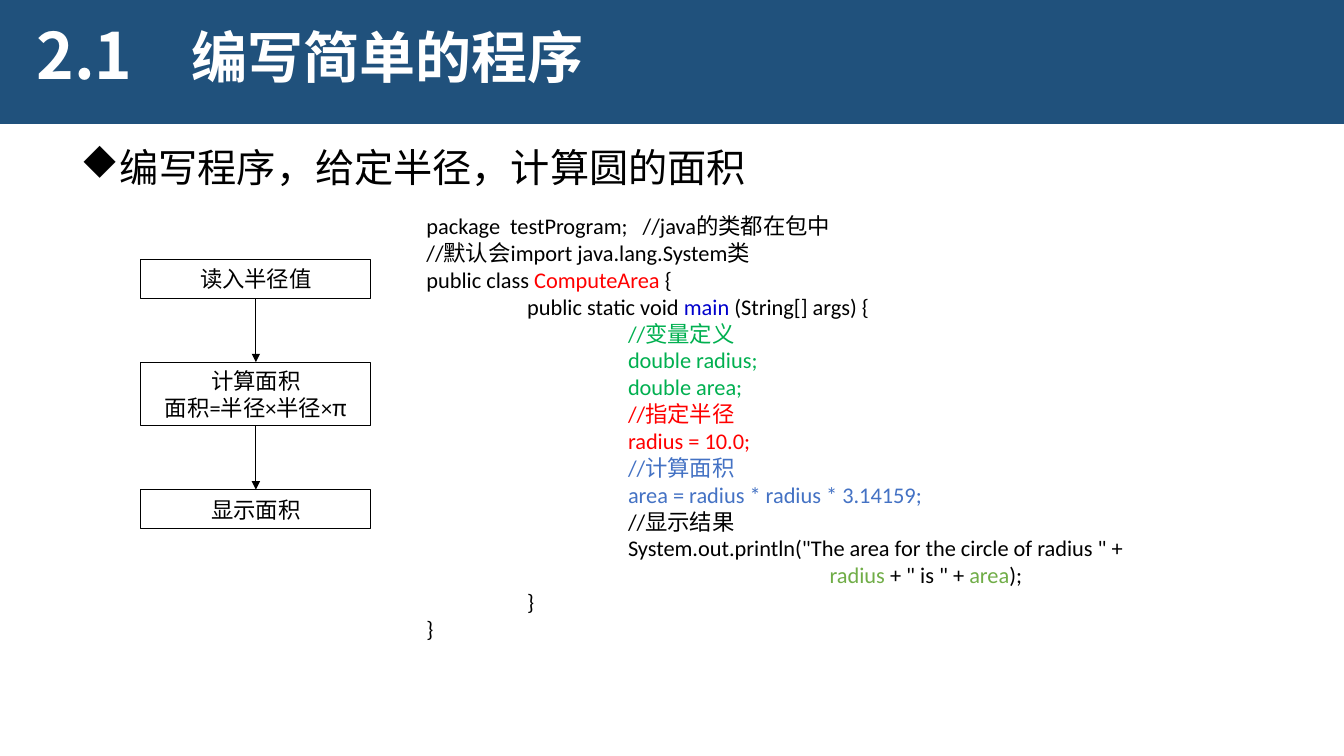
import dataclasses

import lxml.etree
import pptx
import pptx.dml.color
import pptx.enum.shapes
import pptx.enum.text
import pptx.oxml.ns
import pptx.util

Pt = pptx.util.Pt
qn = pptx.oxml.ns.qn
SHAPE = pptx.enum.shapes.MSO_SHAPE.RECTANGLE
ANCHOR = pptx.enum.text.MSO_ANCHOR
ALIGN = pptx.enum.text.PP_ALIGN
AUTOSIZE = pptx.enum.text.MSO_AUTO_SIZE


@dataclasses.dataclass(frozen=True)
class Theme:
    banner: str = "20517C"
    white: str = "FFFFFF"
    black: str = "000000"
    red: str = "FF0000"
    method: str = "0000CC"
    declaration: str = "00B050"
    calculation: str = "4472C4"
    output: str = "70AD47"
    cjk: str = "Noto Sans CJK SC"
    latin: str = "Calibri"
    bullet: str = "Wingdings"
    number_size: float = 45.6
    title_size: float = 40
    task_size: float = 28
    text_size: float = 16
    line_width: float = 0.75
    heading_spacing: float = 0.9
    tab_width: float = 72


class Deck:
    def __init__(self, theme):
        self.theme = theme
        self.presentation = pptx.Presentation()
        self.presentation.slide_width = Pt(960)
        self.presentation.slide_height = Pt(540)
        self.slide = self.presentation.slides.add_slide(self.presentation.slide_layouts[1])
        self.shapes = self.slide.shapes

    def color(self, value):
        return pptx.dml.color.RGBColor.from_string(value)

    def format(self, paragraph, size, color, latin, bold=False):
        font = paragraph.font
        font.size, font.bold, font.name = Pt(size), bold, latin
        font.color.rgb = self.color(color)
        east_asian = lxml.etree.SubElement(font._element, qn("a:ea"))
        east_asian.set("typeface", self.theme.cjk)

    def place(self, shape, left, top, width, height):
        shape.left, shape.top = Pt(left), Pt(top)
        shape.width, shape.height = Pt(width), Pt(height)

    def banner(self, left, top, width, height):
        band = self.shapes.add_shape(SHAPE, Pt(left), Pt(top), Pt(width), Pt(height))
        band.shadow.inherit = False
        band.fill.solid()
        band.fill.fore_color.rgb = self.color(self.theme.banner)
        band.line.fill.background()
        self.shapes._spTree.insert(2, band._element)

    def heading(self, holder, text, area, size, color, bold=True, bullet=None):
        self.place(holder, *area)
        frame = holder.text_frame
        frame.word_wrap = True
        frame.auto_size = AUTOSIZE.NONE
        frame.vertical_anchor = ANCHOR.TOP
        frame.text = text
        paragraph = frame.paragraphs[0]
        paragraph.alignment = ALIGN.LEFT
        paragraph.line_spacing = self.theme.heading_spacing
        paragraph.space_before = Pt(0)
        if bullet:
            properties = paragraph._p.get_or_add_pPr()
            properties.set("marL", str(Pt(18)))
            properties.set("indent", str(Pt(-18)))
            typeface = lxml.etree.SubElement(properties, qn("a:buFont"))
            typeface.set("typeface", self.theme.bullet)
            typeface.set("charset", "2")
            lxml.etree.SubElement(properties, qn("a:buChar")).set("char", bullet)
        self.format(paragraph, size, color, self.theme.cjk, bold)

    def text_box(self):
        return self.shapes.add_textbox(0, 0, 0, 0)

    def step(self, lines, left, top, width, height):
        box = self.shapes.add_shape(SHAPE, Pt(left), Pt(top), Pt(width), Pt(height))
        box.shadow.inherit = False
        box.fill.background()
        box.line.color.rgb = self.color(self.theme.black)
        box.line.width = Pt(self.theme.line_width)
        frame = box.text_frame
        frame.word_wrap = False
        frame.vertical_anchor = ANCHOR.MIDDLE
        frame.text = "\n".join(lines)
        for paragraph in frame.paragraphs:
            paragraph.alignment = ALIGN.CENTER
            self.format(paragraph, self.theme.text_size, self.theme.black, self.theme.latin)
        return box

    def add_symbol(self, box, symbol):
        run = box.text_frame.paragraphs[-1].add_run()
        run.text = symbol
        run.font.name = self.theme.cjk

    def arrow(self, source, target):
        link = self.shapes.add_connector(pptx.enum.shapes.MSO_CONNECTOR.STRAIGHT, 0, 0, 0, 0)
        link.begin_connect(source, 2)
        link.end_connect(target, 0)
        link.line.color.rgb = self.color(self.theme.black)
        link.line.width = Pt(self.theme.line_width)
        lxml.etree.SubElement(link.line._get_or_add_ln(), qn("a:tailEnd")).set("type", "triangle")
        lxml.etree.SubElement(link._element.spPr, qn("a:effectLst"))

    def code(self, lines, left, top, width, height):
        listing = self.text_box()
        self.place(listing, left, top, width, height)
        frame = listing.text_frame
        frame.word_wrap = True
        frame.auto_size = AUTOSIZE.SHAPE_TO_FIT_TEXT
        for index, (depth, *parts) in enumerate(lines):
            paragraph = frame.add_paragraph() if index else frame.paragraphs[0]
            paragraph._p.get_or_add_pPr().set("defTabSz", str(Pt(self.theme.tab_width)))
            shared = parts[0][1] if len(parts) == 1 else self.theme.black
            self.format(paragraph, self.theme.text_size, shared, self.theme.latin)
            for position, (text, color) in enumerate(parts):
                run = paragraph.add_run()
                run.text = text if position else "\t" * depth + text
                if color != shared:
                    run.font.color.rgb = self.color(color)


def main():
    theme = Theme()
    deck = Deck(theme)
    black, red, green = theme.black, theme.red, theme.declaration
    blue, output = theme.calculation, theme.output

    deck.banner(-2, 0, 962, 88.5)
    deck.heading(deck.text_box(), "2.1", (19, 13.5, 98.5, 65.5), theme.number_size, theme.white)
    deck.heading(deck.shapes.title, "编写简单的程序", (129.6, 18, 582.5, 39),
                 theme.title_size, theme.white)
    deck.heading(deck.slide.placeholders[1], "编写程序，给定半径，计算圆的面积",
                 (50.2, 102.6, 630, 39.6), theme.task_size, black, bold=False, bullet="u")

    steps = [["读入半径值"], ["计算面积", "面积=半径×半径×"], ["显示面积"]]
    top, gap, boxes = 185.2, 45.5, []
    for lines in steps:
        height = 28 if len(lines) == 1 else 45.5
        boxes.append(deck.step(lines, 100.6, top, 164.4, height))
        top += height + gap
    deck.add_symbol(boxes[1], "π")
    for source, target in zip(boxes, boxes[1:]):
        deck.arrow(source, target)

    deck.code([
        (0, ("package  testProgram;   //java的类都在包中", black)),
        (0, ("//默认会import java.lang.System类", black)),
        (0, ("public class ", black), ("ComputeArea", red), (" {", black)),
        (1, ("public static void ", black), ("main", theme.method), (" (String[] args) {", black)),
        (2, ("//变量定义", green)),
        (2, ("double radius;", green)),
        (2, ("double area;", green)),
        (2, ("//指定半径", red)),
        (2, ("radius = 10.0;", red)),
        (2, ("//计算面积", blue)),
        (2, ("area = radius * radius * 3.14159;", blue)),
        (2, ("//显示结果", black)),
        (2, ("System.out.println(\"The area for the circle of radius \" +", black)),
        (4, ("radius", output), (" + \" is \" + ", black), ("area", output), (");", black)),
        (1, ("}", black)),
        (0, ("}", black)),
    ], 297.5, 148, 528, 317.5)

    deck.presentation.save("out.pptx")


if __name__ == "__main__":
    main()
